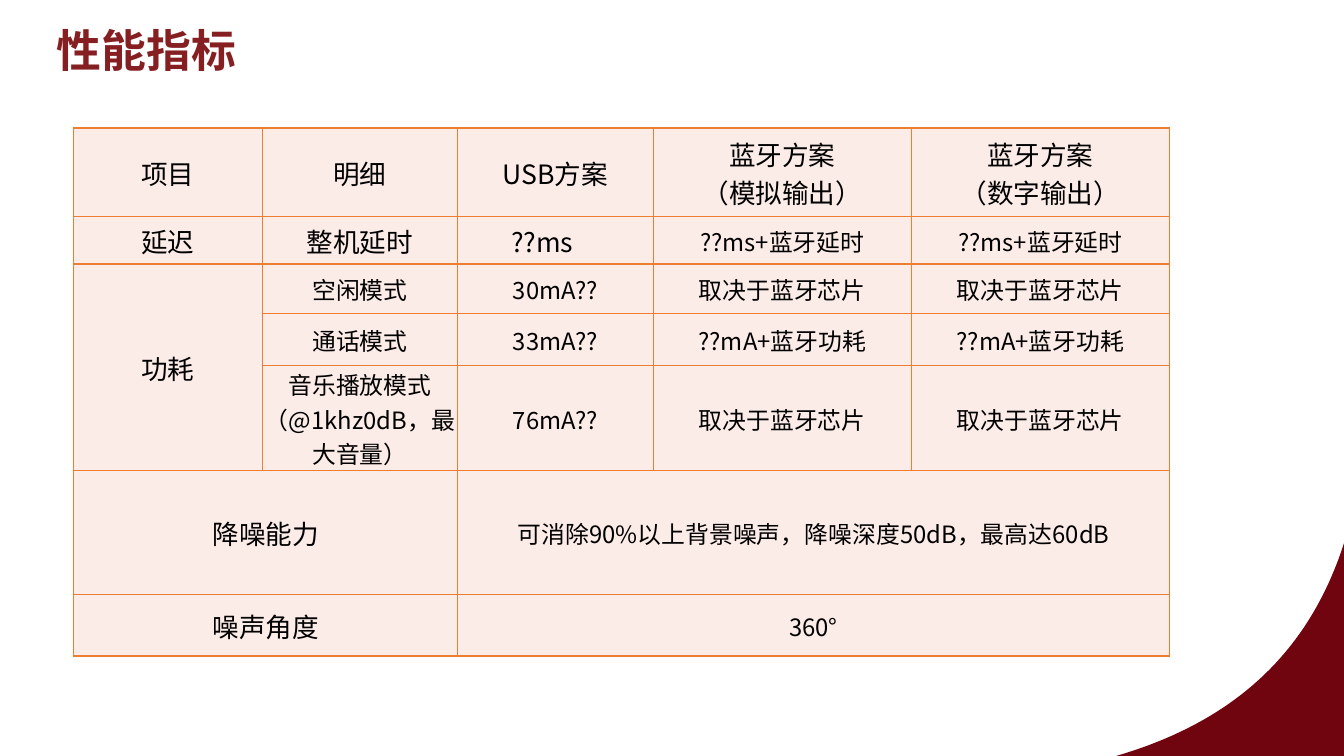
from lxml import etree
from pptx import Presentation
from pptx.dml.color import RGBColor
from pptx.enum.text import MSO_ANCHOR, PP_ALIGN
from pptx.oxml.ns import qn
from pptx.util import Inches, Pt

CENTER = PP_ALIGN.CENTER
MIDDLE, BOTTOM = MSO_ANCHOR.MIDDLE, MSO_ANCHOR.BOTTOM

# Content
SLIDE_W, SLIDE_H = 13.33, 7.5
TITLE = "性能指标"
TITLE_FONT, TABLE_FONT = "Noto Sans CJK JP", "Noto Sans CJK SC"
LARGE, SMALL = 19, 17
MAROON, DARK_RED, BLACK = "70040F", "861F21", "000000"
ORANGE, PALE_PINK = "ED7D31", "FCECE8"

CHIP = "取决于蓝牙芯片"
DELAY = "??ms+蓝牙延时"
POWER = "??mA+蓝牙功耗"
METRICS = [
    ["项目", "明细", "USB方案", "蓝牙方案\n（模拟输出）", "蓝牙方案\n（数字输出）"],
    ["延迟", "整机延时", "??ms　", DELAY, DELAY],
    ["功耗", "空闲模式", "30mA??", CHIP, CHIP],
    ["", "通话模式", "33mA??", POWER, POWER],
    ["", "音乐播放模式（@1khz0dB，最大音量）", "76mA??", CHIP, CHIP],
    ["降噪能力", "", "可消除90%以上背景噪声，降噪深度50dB，最高达60dB", "", ""],
    ["噪声角度", "", "360°", "", ""],
]
# First and last cell of each merged block, as (row, column)
MERGES = [((2, 0), (4, 0)), ((5, 0), (5, 1)), ((5, 2), (5, 4)),
          ((6, 0), (6, 1)), ((6, 2), (6, 4))]
COLUMN_WIDTHS = [1.87, 1.94, 1.94, 2.56, 2.56]
ROW_HEIGHTS = [0.88, 0.47, 0.49, 0.52, 1.04, 1.23, 0.61]
TABLE_LEFT, TABLE_TOP = 0.73, 1.27

# Corner curve: start, two control points, end
CORNER = [(13.33, 5.39), (12.97, 6.51), (12.2, 7.17), (11.07, 7.5)]
CURVE_STEPS = 40


def rgb(value):
    return RGBColor.from_string(value)


def style(paragraph, size, font_name, color, bold=False):
    paragraph.alignment = CENTER
    font = paragraph.font
    font.size, font.name, font.bold = Pt(size), font_name, bold
    font.color.rgb = rgb(color)
    defaults = paragraph._p.pPr.find(qn("a:defRPr"))
    etree.SubElement(defaults, qn("a:ea"), typeface=font_name)


def add_borders(cell, color, width):
    properties = cell._tc.get_or_add_tcPr()
    for position, side in enumerate(("a:lnL", "a:lnR", "a:lnT", "a:lnB")):
        line = etree.Element(qn(side), w=str(Pt(width)))
        fill = etree.SubElement(line, qn("a:solidFill"))
        etree.SubElement(fill, qn("a:srgbClr"), val=color)
        properties.insert(position, line)


def curve_point(t):
    weights = ((1 - t) ** 3, 3 * t * (1 - t) ** 2, 3 * t ** 2 * (1 - t), t ** 3)
    return tuple(Inches(sum(w * p[axis] for w, p in zip(weights, CORNER)))
                 for axis in (0, 1))


def text_size(row, column):
    return LARGE if column == 0 or row == 0 or (row == 1 and column < 3) else SMALL


prs = Presentation()
prs.slide_width, prs.slide_height = Inches(SLIDE_W), Inches(SLIDE_H)
slide = prs.slides.add_slide(prs.slide_layouts[6])

# Corner decoration
builder = slide.shapes.build_freeform(Inches(SLIDE_W), Inches(SLIDE_H))
builder.add_line_segments([curve_point(i / CURVE_STEPS)
                           for i in range(CURVE_STEPS + 1)], close=True)
corner = builder.convert_to_shape()
corner.shadow.inherit = False
corner.fill.solid()
corner.fill.fore_color.rgb = rgb(MAROON)
corner.line.fill.background()

# Title
title = slide.shapes.add_textbox(Inches(0.09), Inches(0.19),
                                 Inches(2.73), Inches(0.63)).text_frame
title.word_wrap = True
title.vertical_anchor = BOTTOM
title.text = TITLE
title.paragraphs[0].line_spacing = 0.9
style(title.paragraphs[0], 32, TITLE_FONT, DARK_RED, bold=True)

# Metrics table
table = slide.shapes.add_table(
    len(ROW_HEIGHTS), len(COLUMN_WIDTHS), Inches(TABLE_LEFT), Inches(TABLE_TOP),
    Inches(sum(COLUMN_WIDTHS)), Inches(sum(ROW_HEIGHTS))).table
table.first_row = table.horz_banding = False
for column, width in zip(table.columns, COLUMN_WIDTHS):
    column.width = Inches(width)
for row, height in zip(table.rows, ROW_HEIGHTS):
    row.height = Inches(height)

for r, texts in enumerate(METRICS):
    for c, text in enumerate(texts):
        cell = table.cell(r, c)
        cell.margin_left = cell.margin_right = cell.margin_top = Inches(0.01)
        cell.margin_bottom = 0
        cell.vertical_anchor = MIDDLE
        cell.fill.solid()
        cell.fill.fore_color.rgb = rgb(PALE_PINK)
        add_borders(cell, ORANGE, 1)
        cell.text = text
        for paragraph in cell.text_frame.paragraphs:
            style(paragraph, text_size(r, c), TABLE_FONT, BLACK)

for first, last in MERGES:
    table.cell(*first).merge(table.cell(*last))

prs.save("out.pptx")
